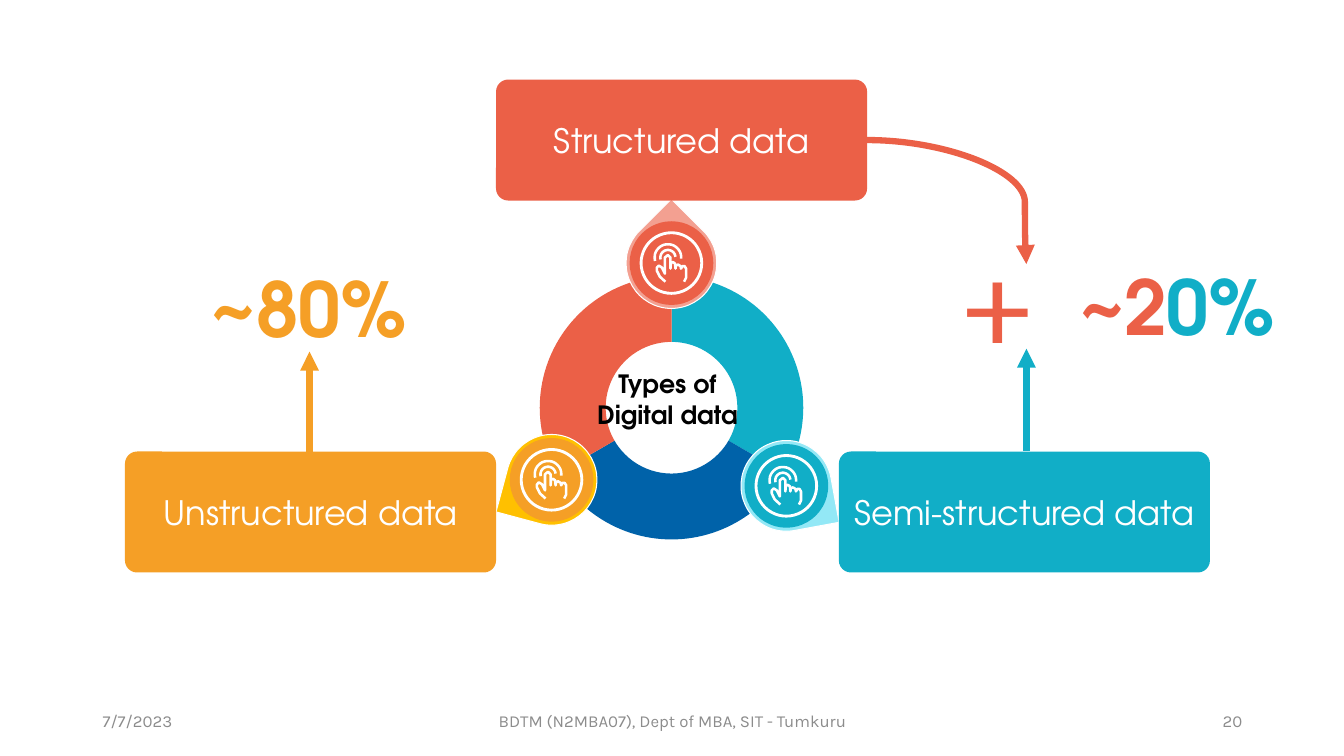
import math
from lxml import etree
from pptx import Presentation
from pptx import util as u
from pptx.chart import data
from pptx.dml.color import RGBColor
from pptx.enum import chart as charts, shapes, text
from pptx.oxml.ns import qn

WIDTH, HEIGHT = u.Inches(13.33), u.Inches(7.5)
HEADING, BODY = "TeX Gyre Adventor", "Karla"
COLORS = {
    "red": "EB6047", "pale_red": "F3A091",
    "orange": "F59F26", "yellow": "FFC000",
    "teal": "11AEC7", "pale_teal": "93E8F6",
    "blue": "0062A9", "white": "FFFFFF", "black": "000000", "gray": "8C8C8C",
}
LABELS = [
    ("Structured data", "red", 36.91, 10.53),
    ("Unstructured data", "orange", 9.3, 59.73),
    ("Semi-structured data", "teal", 62.42, 59.73),
]
MARKERS = [
    (49.96, 34.8, 315, "pale_red", "red"),
    (41.04, 63.47, 195, "yellow", "orange"),
    (58.51, 64.27, 79.6, "pale_teal", "teal"),
]
FOOTERS = [
    ("7/7/2023", 6.9, 22.51, text.PP_ALIGN.LEFT),
    ("BDTM (N2MBA07), Dept of MBA, SIT - Tumkuru", 33.16, 33.76, text.PP_ALIGN.CENTER),
    ("20", 70.67, 22.51, text.PP_ALIGN.RIGHT),
]
HAND = [
    (125, 185), (145, 145), (145, 55), (130, 30), (110, 30), (95, 55),
    (90, 30), (65, 15), (45, 25), (40, 55), (35, 5), (15, -10), (-5, 0),
    (-10, 55), (-10, -55), (-35, -80), (-65, -55), (-65, 105), (-95, 45),
    (-125, 25), (-145, 45), (-145, 75), (-115, 135), (-60, 185),
]
FINGERTIP = (-35, -55)


def across(share):
    return round(WIDTH * share / 100)


def down(share):
    return round(HEIGHT * share / 100)


def area(left, top, width, height):
    return across(left), down(top), across(width), down(height)


def color(name):
    return RGBColor.from_string(COLORS[name])


def add_filled(page, kind, place, fill, outline=None):
    shape = page.shapes.add_shape(kind, *place)
    shape.shadow.inherit = False
    shape.fill.solid()
    shape.fill.fore_color.rgb = color(fill)
    if outline:
        shape.line.color.rgb = color(outline)
        shape.line.width = u.Pt(0.75)
    else:
        shape.line.fill.background()
    return shape


def style(span, size, tint, font, bold=False):
    span.font.size = u.Pt(size)
    span.font.name = font
    span.font.bold = bold
    span.font.color.rgb = color(tint)


def add_text(page, place, lines, size, font, bold=False, inset=0.0,
             align=text.PP_ALIGN.CENTER, anchor=text.MSO_ANCHOR.TOP):
    frame = page.shapes.add_textbox(*place).text_frame
    frame.word_wrap = True
    frame.vertical_anchor = anchor
    frame.margin_left = frame.margin_right = u.Inches(inset)
    frame.margin_top = frame.margin_bottom = u.Inches(inset / 2)
    for index, line in enumerate(lines):
        para = frame.add_paragraph() if index else frame.paragraphs[0]
        para.alignment = align
        for words, tint in line:
            span = para.add_run()
            span.text = words
            style(span, size, tint, font, bold)


def add_label(page, words, fill, left, top):
    box = add_filled(page, shapes.MSO_SHAPE.ROUNDED_RECTANGLE,
                     area(left, top, 27.61, 16), fill)
    box.adjustments[0] = 0.1
    frame = box.text_frame
    frame.word_wrap = True
    frame.vertical_anchor = text.MSO_ANCHOR.MIDDLE
    frame.text = words
    para = frame.paragraphs[0]
    para.alignment = text.PP_ALIGN.CENTER
    style(para.runs[0], 24, "white", HEADING)


def add_stroke(page, center, points):
    builder = page.shapes.build_freeform(*points[0], scale=u.Inches(1) / 1000)
    builder.add_line_segments(points[1:], close=False)
    stroke = builder.convert_to_shape(*center)
    stroke.shadow.inherit = False
    stroke.fill.background()
    stroke.line.color.rgb = color("white")
    stroke.line.width = u.Pt(1.8)


def arc(radius, start, end):
    angles = [math.radians(angle) for angle in range(start, end + 1, 10)]
    return [(round(FINGERTIP[0] + radius * math.cos(angle)),
             round(FINGERTIP[1] + radius * math.sin(angle))) for angle in angles]


def add_marker(page, x, y, turn, rim, fill):
    center = across(x), down(y)

    def around(share):
        side = down(share)
        return center[0] - side // 2, center[1] - side // 2, side, side

    drop = add_filled(page, shapes.MSO_SHAPE.TEAR, around(12), rim, "white")
    drop.rotation = turn
    add_filled(page, shapes.MSO_SHAPE.OVAL, around(11.07), fill)
    ring = add_filled(page, shapes.MSO_SHAPE.DONUT, around(8.4), "white")
    ring.adjustments[0] = 0.045
    for points in (HAND, arc(75, 165, 355), arc(132, 165, 365)):
        add_stroke(page, center, points)


def add_arrow(page, kind, start, end, tint):
    arrow = page.shapes.add_connector(kind, across(start[0]), down(start[1]),
                                      across(end[0]), down(end[1]))
    arrow.line.color.rgb = color(tint)
    arrow.line.width = u.Pt(4.5)
    etree.SubElement(arrow.line._get_or_add_ln(), qn("a:tailEnd"), type="triangle")
    etree.SubElement(arrow._element.spPr, qn("a:effectLst"))
    return arrow


def add_ring_chart(page):
    source = data.CategoryChartData()
    source.categories = ["1", "2", "3"]
    source.add_series("Series 1", [33, 33, 33])
    chart = page.shapes.add_chart(charts.XL_CHART_TYPE.DOUGHNUT,
                                  *area(35.56, 34.67, 28.81, 38.53), source).chart
    chart.has_legend = False
    chart.has_title = False
    chart.font.name = BODY
    chart.font.size = u.Pt(18)
    chart.font.color.rgb = color("black")
    plot = chart.plots[0]
    plot.vary_by_categories = True
    plot._element.find(qn("c:holeSize")).set("val", "65")
    for index, tint in enumerate(["teal", "blue", "red"]):
        slice_format = plot.series[0].points[index].format
        slice_format.fill.solid()
        slice_format.fill.fore_color.rgb = color(tint)
        slice_format.line.fill.background()


def main():
    deck = Presentation()
    deck.slide_width, deck.slide_height = WIDTH, HEIGHT
    page = deck.slides.add_slide(deck.slide_layouts[6])
    add_ring_chart(page)
    for marker in MARKERS:
        add_marker(page, *marker)
    for label in LABELS:
        add_label(page, *label)
    add_text(page, area(42.24, 48.13, 14.85, 9.47),
             [[("Types of", "black")], [("Digital data", "black")]],
             18, HEADING, bold=True, inset=0.1)
    add_text(page, area(75.09, 34.4, 24.91, 12.13),
             [[("~2", "red"), ("0%", "teal")]], 54, HEADING, bold=True)
    add_text(page, area(66.35, 29.2, 15.83, 19.73), [[("+", "red")]], 88, BODY)
    add_text(page, area(10.5, 34.67, 24.91, 12.13),
             [[("~80%", "orange")]], 54, HEADING, bold=True)
    curve = add_arrow(page, shapes.MSO_CONNECTOR.CURVE,
                      (64.52, 18.53), (76.37, 34.93), "red")
    guides = curve._element.spPr.find(qn("a:prstGeom")).get_or_add_avLst()
    etree.SubElement(guides, qn("a:gd"), name="adj1", fmla="val 99100")
    add_arrow(page, shapes.MSO_CONNECTOR.STRAIGHT,
              (76.37, 59.6), (76.37, 46.13), "teal")
    add_arrow(page, shapes.MSO_CONNECTOR.STRAIGHT,
              (23.03, 60), (23.03, 46.53), "orange")
    for words, left, width, align in FOOTERS:
        add_text(page, area(left, 92.67, width, 5.33), [[(words, "gray")]], 12, BODY,
                 inset=0.1, align=align, anchor=text.MSO_ANCHOR.MIDDLE)
    deck.save("out.pptx")


if __name__ == "__main__":
    main()
